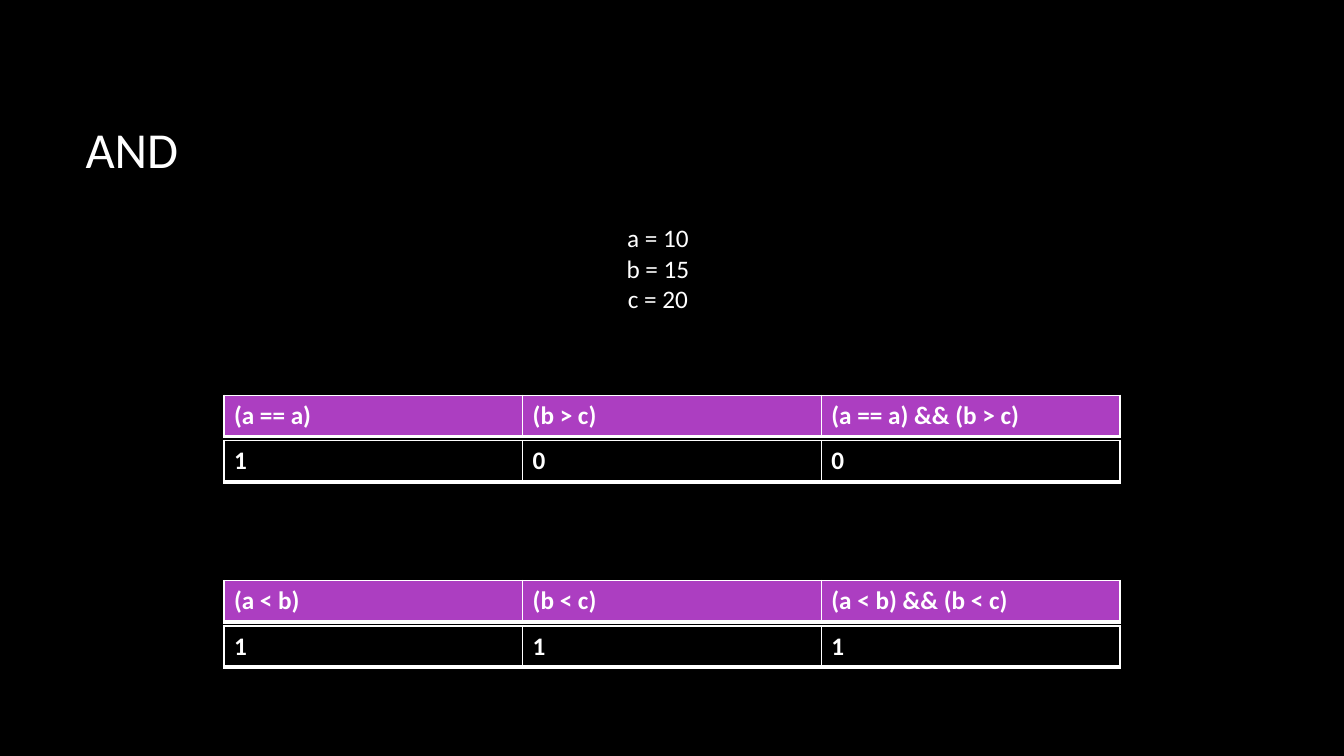
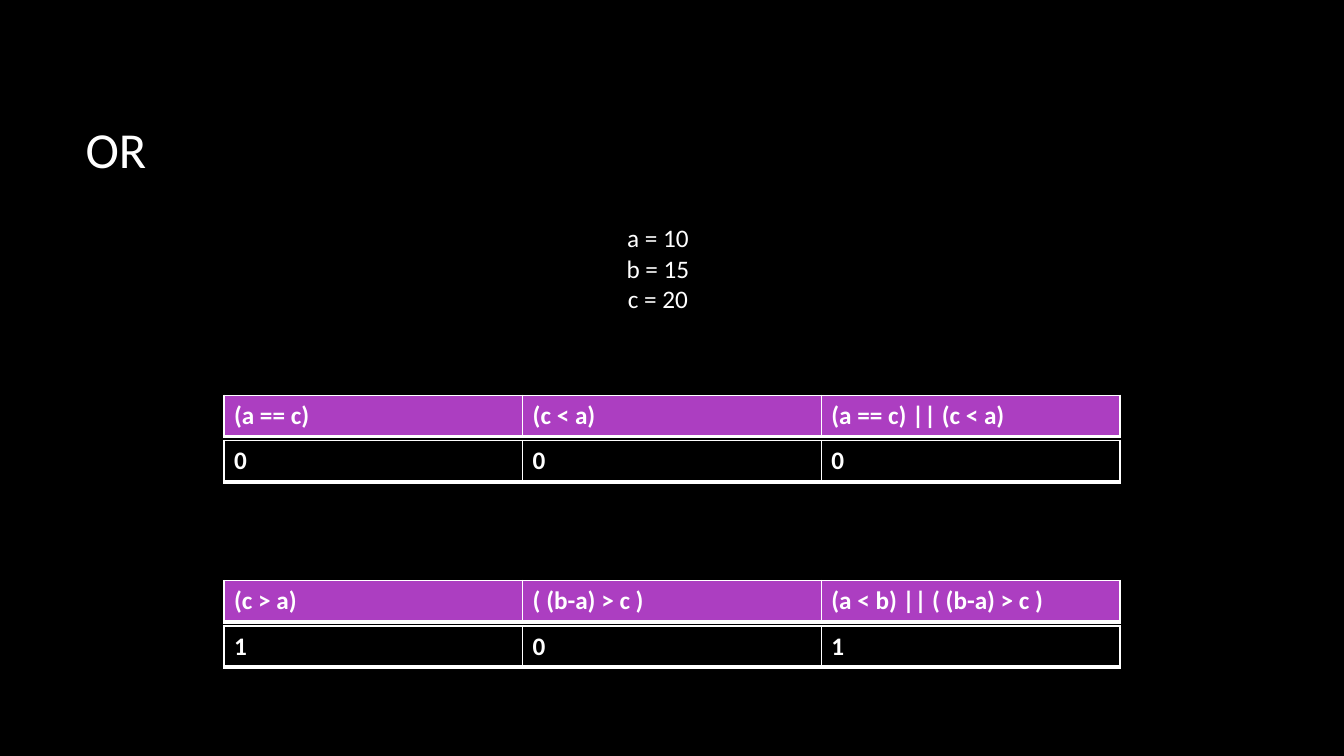
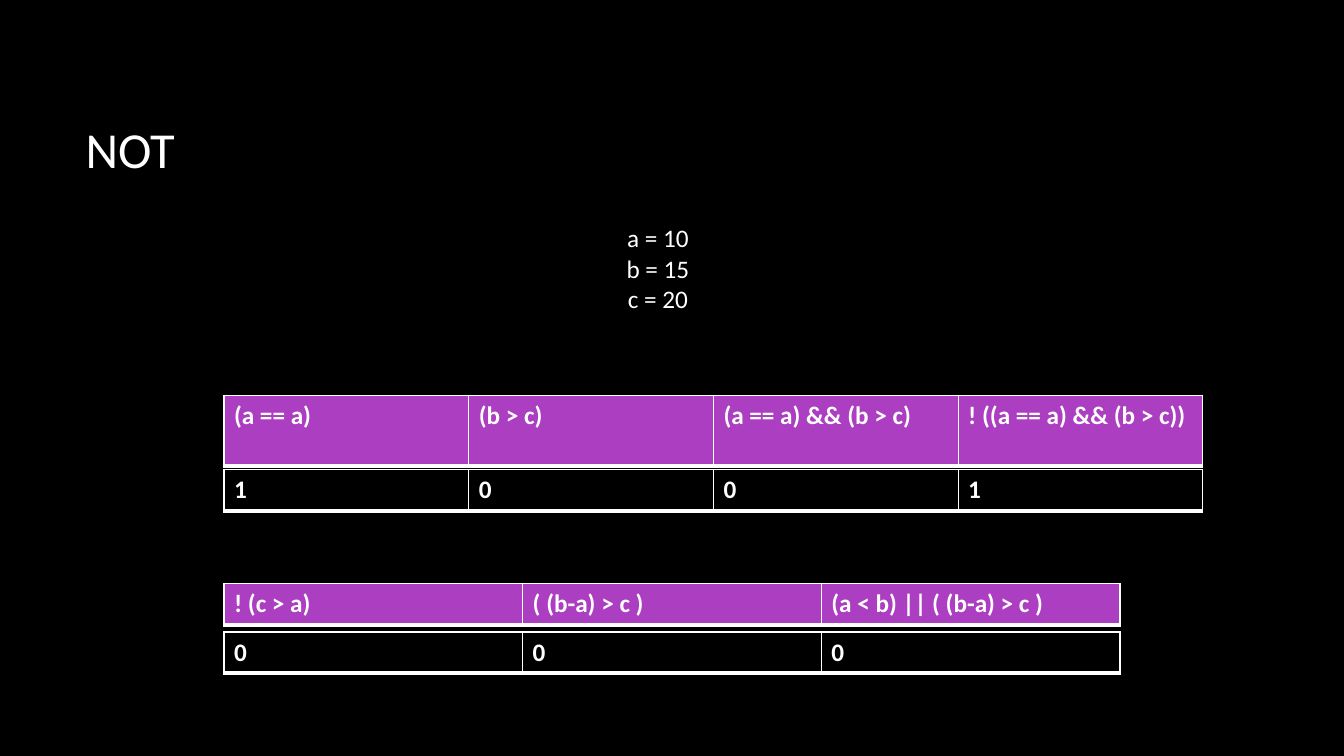
"""Three slides on the logical operators AND, OR and NOT."""
from lxml.etree import SubElement
from pptx import Presentation
from pptx.dml.color import RGBColor
from pptx.enum.text import MSO_ANCHOR as Anchor, PP_ALIGN as Align
from pptx.oxml.ns import qn
from pptx.util import Inches, Pt

WIDE, HIGH = 13.33, 7.5
BLACK, WHITE, PURPLE = "000000", "FFFFFF", "AC3EC1"
FONT = "Calibri"
EDGES = {"lnL": 1, "lnR": 1, "lnT": 1, "lnB": 3}
LEFT, SPAN, BROAD = WIDE / 6, WIDE * 2 / 3, 9.71
ROW, TALL, GAP = 0.41, 0.7, 0.04
VALUES = ["a = 10", "b = 15", "c = 20"]

SLIDES = [
    ("AND", [
        dict(top=3.92, head=["(a == a)", "(b > c)", "(a == a) && (b > c)"], body="100"),
        dict(top=5.76, head=["(a < b)", "(b < c)", "(a < b) && (b < c)"], body="111"),
    ]),
    ("OR", [
        dict(top=3.92, head=["(a == c)", "(c < a)", "(a == c) || (c < a)"], body="000"),
        dict(top=5.76, head=["(c > a)", "( (b-a) > c )", "(a < b) || ( (b-a) > c )"], body="101"),
    ]),
    ("NOT", [
        dict(top=3.92, head=["(a == a)", "(b > c)", "(a == a) && (b > c)", "! ((a == a) && (b > c))"],
             body="1001", width=BROAD, tall=TALL),
        dict(top=5.79, head=["! (c > a)", "( (b-a) > c )", "(a < b) || ( (b-a) > c )"],
             body="000", gap=0.07),
    ]),
]


def paint(fill, color):
    fill.solid()
    fill.fore_color.rgb = RGBColor.from_string(color)


def write(para, text, size=18, bold=False):
    run = para.add_run()
    run.text = text
    run.font.name, run.font.size, run.font.bold = FONT, Pt(size), bold
    run.font.color.rgb = RGBColor.from_string(WHITE)


def add_text(slide, box, lines, size=18, align=Align.LEFT, anchor=Anchor.TOP):
    frame = slide.shapes.add_textbox(*map(Inches, box)).text_frame
    frame.word_wrap, frame.vertical_anchor = True, anchor
    for i, line in enumerate(lines):
        para = frame.add_paragraph() if i else frame.paragraphs[0]
        para.alignment = align
        write(para, line, size)


def add_edges(cell):
    props = cell._tc.get_or_add_tcPr()
    for tag, width in EDGES.items():
        line = SubElement(props, qn(f"a:{tag}"), w=str(Pt(width)))
        SubElement(SubElement(line, qn("a:solidFill")), qn("a:srgbClr"), val=WHITE)


def add_row(slide, top, texts, color, width, height):
    box = map(Inches, (LEFT, top, width, height))
    table = slide.shapes.add_table(1, len(texts), *box).table
    table.first_row = table.horz_banding = False
    for col, cell, text in zip(table.columns, table.rows[0].cells, texts):
        col.width = Inches(width / len(texts))
        add_edges(cell)
        paint(cell.fill, color)
        write(cell.text_frame.paragraphs[0], text, bold=True)


def add_truth(slide, top, head, body, width=SPAN, tall=ROW, gap=GAP):
    add_row(slide, top, head, PURPLE, width, tall)
    add_row(slide, top + tall + gap, body, BLACK, width, ROW)


def main():
    deck = Presentation()
    deck.slide_width, deck.slide_height = Inches(WIDE), Inches(HIGH)
    paint(deck.slide_master.background.fill, BLACK)
    for title, truths in SLIDES:
        slide = deck.slides.add_slide(deck.slide_layouts[6])
        add_text(slide, (0.75, 0.68, 11.08, 1.59), [title], 36, anchor=Anchor.MIDDLE)
        add_text(slide, (1.67, 2.16, 9.71, 1.01), VALUES, align=Align.CENTER)
        for truth in truths:
            add_truth(slide, **truth)
    deck.save("out.pptx")


if __name__ == "__main__":
    main()
